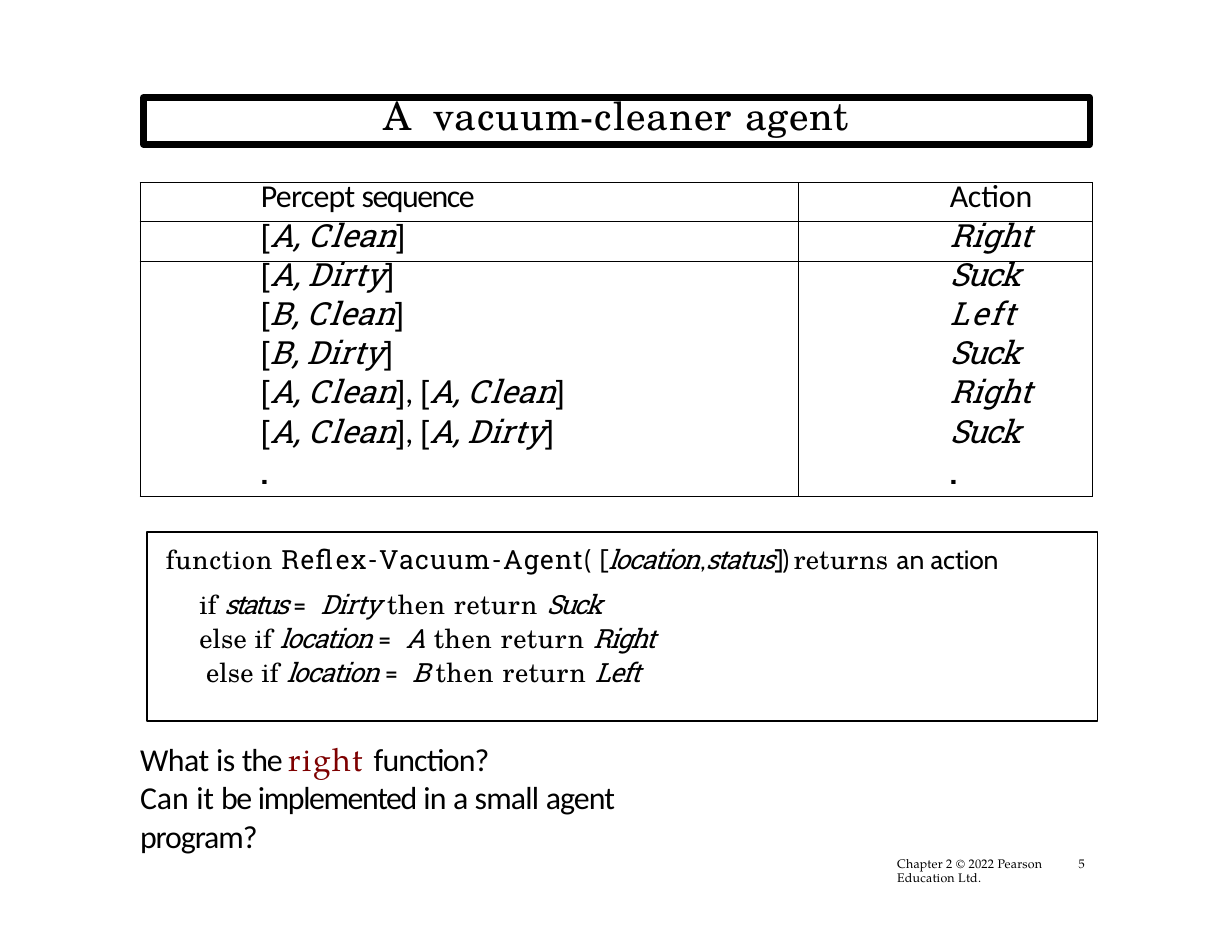
"""Build the vacuum-cleaner agent slide."""
import pptx
import pptx.dml.color
import pptx.enum.shapes
import pptx.enum.text
import pptx.oxml
import pptx.oxml.ns
import pptx.util

BLACK, MAROON = "000000", "7E0000"
SERIF, SLAB, SANS, BODY = "TeX Gyre Schola", "Roboto Slab", "Cabin", "Calibri"
FOOTER, BRACKET, DOT = "TeX Gyre Pagella", "Arial", "TeX Gyre Adventor"

TITLE = [("A ", SERIF, 3.5), ("vacuum-cleaner ", SERIF, 0.7), ("agent", SERIF, 0.5)]
HEADERS = ([("Percept ", BODY, -0.5), ("sequence", BODY, -1)], [("Action", BODY, -0.1)])
RULES = [
    (["A Clean"], "Right"),
    (["A Dirty"], "Suck"),
    (["B Clean"], "Left"),
    (["B Dirty"], "Suck"),
    (["A Clean", "A Clean"], "Right"),
    (["A Clean", "A Dirty"], "Suck"),
]
TRACKING = {
    "A": [("A", -0.1)],
    "B": [("B", 1.1)],
    "Clean": [("C", 1.4), ("l", 0.4), ("ea", -0.1), ("n", 0.1)],
    "Dirty": [("D", 0.6), ("i", 0), ("r", 0.6), ("t", 0), ("y", 0.7)],
    "Right": [("Right", 0.1)],
    "Suck": [("Suck", -0.9)],
    "Left": [("Left", 1.4)],
}
SIGNATURE = [
    ("function ", SERIF, 0.5), ("Reflex-Vacuum-Agent", SLAB, 0.8), ("( ", SANS, 0.8),
    ("[", SANS, -0.9), ("location", SLAB, -0.9, True), (",", SANS, -0.9),
    ("status", SLAB, -0.9, True), ("]) ", SANS, -0.9), ("returns ", SERIF, 0.3),
    ("an ", SANS, 0.1), ("action", SANS, -0.1),
]
BRANCHES = [
    (0.47, "if ", ("status ", -1.5), ("Dirty ", -0.3), ("Suck", -1.4)),
    (0.47, "else if ", ("location ", -0.8), ("A ", 0.6), ("Right", -0.8)),
    (0.53, "else if ", ("location ", -0.8), ("B ", -0.4), ("Left", -0.6)),
]
QUESTIONS = [
    [("What ", BODY, -0.3), ("is ", BODY, -0.4), ("the ", BODY, -0.8),
     ("right ", FOOTER, 0.9, False, MAROON), ("function?", BODY, -0.6)],
    [("Can ", BODY, 0), ("it ", BODY, -0.1), ("be ", BODY, -1), ("implemented ", BODY, -0.9),
     ("in ", BODY, -0.5), ("a ", BODY, -0.6), ("small ", BODY, -0.5), ("agent ", BODY, -0.6),
     ("program?", BODY, -0.7)],
]
COLUMNS, INDENTS = (5.88, 2.62), (1.08, 1.35)
ROW, LEADING = 0.35, 21.8


def color(hex_code):
    """Return a colour from a hex string."""
    return pptx.dml.color.RGBColor.from_string(hex_code)


def write(p, runs, size, indent=0, leading=None, before=0):
    """Fill a paragraph with runs of (text, font, tracking, italic, colour)."""
    p._p.get_or_add_pPr().set("marL", str(pptx.util.Inches(indent)))
    p.space_before = pptx.util.Pt(before)
    if leading:
        p.line_spacing = leading
    for text, font, tracking, *rest in runs:
        italic, ink = (rest + [False, BLACK][len(rest):])
        r = p.add_run()
        r.text = text
        r.font.name, r.font.size, r.font.italic = font, pptx.util.Pt(size), italic
        r.font.bold = font == DOT
        r.font.color.rgb = color(ink)
        r._r.get_or_add_rPr().set("spc", str(round(tracking * 100)))


def frame(slide, box, line=None, top=0, right=0):
    """Add a text box, or an outlined rectangle when a line width is given."""
    at = [pptx.util.Inches(v) for v in box]
    if line:
        sp = slide.shapes.add_shape(pptx.enum.shapes.MSO_SHAPE.RECTANGLE, *at)
        sp.shadow.inherit = False
        sp.fill.background()
        sp.line.color.rgb = color(BLACK)
        sp.line.width = pptx.util.Pt(line)
    else:
        sp = slide.shapes.add_textbox(*at)
    tf = sp.text_frame
    tf.word_wrap = True
    tf.vertical_anchor = pptx.enum.text.MSO_ANCHOR.TOP
    tf.margin_left = tf.margin_bottom = 0
    tf.margin_top, tf.margin_right = pptx.util.Inches(top), pptx.util.Inches(right)
    tf.paragraphs[0].alignment = pptx.enum.text.PP_ALIGN.LEFT
    return tf


def add_line(tf):
    """Add a left-aligned paragraph."""
    p = tf.add_paragraph()
    p.alignment = pptx.enum.text.PP_ALIGN.LEFT
    return p


def word(name):
    """Return the tracked italic runs of a word."""
    return [(text, SLAB, tracking, True) for text, tracking in TRACKING[name]]


def percept_runs(percepts):
    """Return the runs of a sequence of bracketed percepts."""
    runs = []
    for i, percept in enumerate(percepts):
        place, state = percept.split()
        runs += [(", ", BODY, 0)] if i else []
        runs += [("[", BRACKET, -0.1), *word(place), (", ", SLAB, 0, True),
                 *word(state), ("]", BRACKET, 0)]
    return runs


def set_borders(cell, sides):
    """Draw thin black lines on the given sides and none on the others."""
    tcPr = cell._tc.get_or_add_tcPr()
    for side in "LRTB":
        paint = f'<a:solidFill><a:srgbClr val="{BLACK}"/></a:solidFill>' if side in sides else "<a:noFill/>"
        tcPr.append(pptx.oxml.parse_xml(
            f'<a:ln{side} {pptx.oxml.ns.nsdecls("a")} w="6350">{paint}</a:ln{side}>'))
    cell.fill.background()


def add_rules(slide):
    """Add the table of percept sequences and actions."""
    dot = [(".", DOT, 0)]
    rows = [HEADERS, *((percept_runs(s), word(a)) for s, a in RULES), (dot, dot)]
    at = [pptx.util.Inches(v) for v in (1.25, 1.63, sum(COLUMNS), ROW * len(rows))]
    table = slide.shapes.add_table(len(rows), len(COLUMNS), *at).table
    table.first_row = table.horz_banding = False
    for j, width in enumerate(COLUMNS):
        table.columns[j].width = pptx.util.Inches(width)
    for i, row in enumerate(rows):
        table.rows[i].height = pptx.util.Inches(ROW)
        top = "T" if i <= 2 else ""
        bottom = "B" if i < 2 or i == len(rows) - 1 else ""
        for j, runs in enumerate(row):
            cell = table.cell(i, j)
            cell.margin_left = cell.margin_right = cell.margin_top = cell.margin_bottom = 0
            set_borders(cell, "LR" + top + bottom)
            write(cell.text_frame.paragraphs[0], runs, 20.5, INDENTS[j], pptx.util.Pt(LEADING))


def main():
    """Build and save the slide."""
    prs = pptx.Presentation()
    prs.slide_width, prs.slide_height = pptx.util.Inches(11), pptx.util.Inches(8.5)
    s = prs.slides.add_slide(prs.slide_layouts[6])

    for box, text, indent in (((8, 7.66, 1.41, 0.25), "Chapter 2 © 2022 Pearson Education Ltd.", 0.01),
                              ((9.59, 7.66, 0.21, 0.14), "5", 0.04)):
        write(frame(s, box).paragraphs[0], [(text, FOOTER, 0.1)], 8, indent, pptx.util.Pt(8.6))

    p = frame(s, (1.28, 0.87, 8.45, 0.42), line=4.08).paragraphs[0]
    write(p, TITLE, 25, leading=pptx.util.Pt(26.4))
    p.alignment = pptx.enum.text.PP_ALIGN.CENTER

    add_rules(s)

    tf = frame(s, (1.31, 4.75, 8.49, 1.69), line=1.08, top=0.1)
    write(tf.paragraphs[0], SIGNATURE, 17, 0.17)
    for i, (indent, keyword, variable, value, action) in enumerate(BRANCHES):
        runs = [(keyword, SERIF, 0.1), (*variable[:1], SLAB, variable[1], True), ("= ", SANS, 2.6),
                (value[0], SLAB, value[1], True), ("then return ", SERIF, 0.5),
                (action[0], SLAB, action[1], True)]
        write(add_line(tf), runs, 17, indent, 1.07, 0 if i else 7.2)

    tf = frame(s, (1.24, 6.58, 5.62, 0.72), top=0.02, right=0.5)
    write(tf.paragraphs[0], QUESTIONS[0], 20.5, 0.01)
    write(add_line(tf), QUESTIONS[1], 20.5, 0.01, before=0.3)

    prs.save("out.pptx")


if __name__ == "__main__":
    main()
